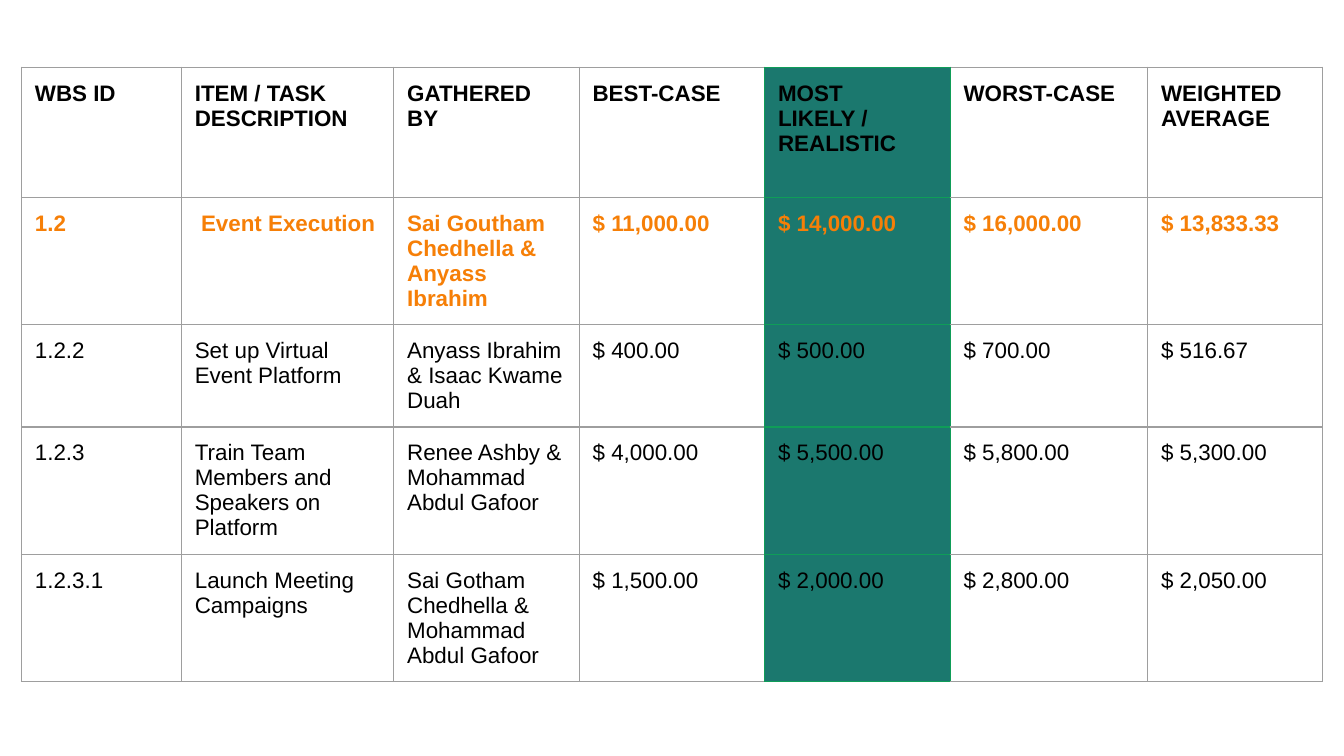
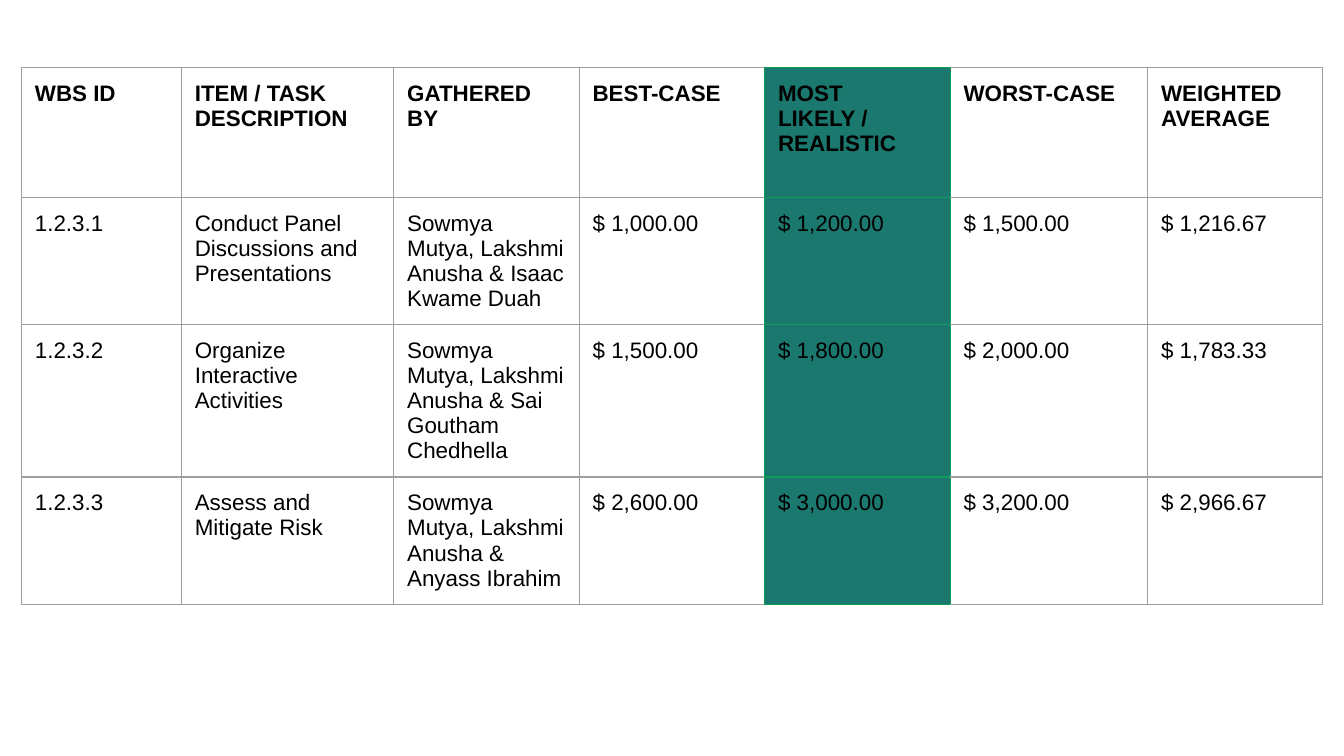
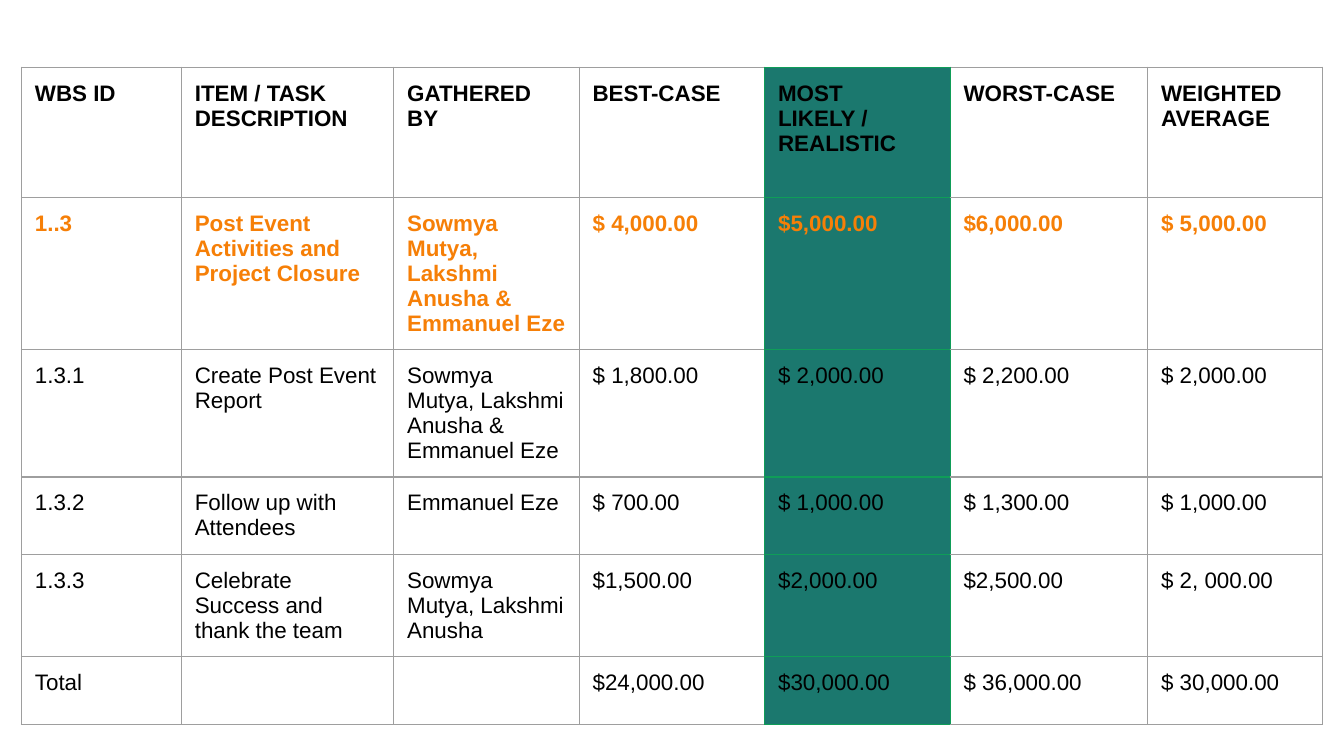
from lxml.etree import SubElement
from pptx import Presentation
from pptx.dml.color import RGBColor as RGB
from pptx.oxml.ns import qn
from pptx.util import Inches, Pt

BLACK = RGB(0x00, 0x00, 0x00)
ORANGE = RGB(0xF6, 0x7F, 0x07)
TEAL = RGB(0x1B, 0x78, 0x6E)
GREEN = RGB(0x0F, 0x9D, 0x58)
GREY = RGB(0x9E, 0x9E, 0x9E)

FONT = "Arial"
LEFT, TOP = 0.16, 0.5
COLS = [1.19, 1.58, 1.38, 1.38, 1.38, 1.47, 1.3]
HEAD_H, ROW_H = 0.97, 0.42
PAD = Inches(0.1)
LIKELY = 4

HEAD = ["WBS ID", "ITEM / TASK DESCRIPTION", "GATHERED BY", "BEST-CASE",
        "MOST LIKELY / REALISTIC", "WORST-CASE", "WEIGHTED AVERAGE"]
PHASES = ["1.2", "1..3"]

SLIDES = [
    [
        ["1.2", " Event Execution", "Sai Goutham Chedhella & Anyass Ibrahim",
         "$ 11,000.00", "$ 14,000.00", "$ 16,000.00", "$ 13,833.33"],
        ["1.2.2", "Set up Virtual Event Platform", "Anyass Ibrahim & Isaac Kwame Duah",
         "$ 400.00", "$ 500.00", "$ 700.00", "$ 516.67"],
        ["1.2.3", "Train Team Members and Speakers on Platform",
         "Renee Ashby & Mohammad Abdul Gafoor",
         "$ 4,000.00", "$ 5,500.00", "$ 5,800.00", "$ 5,300.00"],
        ["1.2.3.1", "Launch Meeting Campaigns",
         "Sai Gotham Chedhella & Mohammad Abdul Gafoor",
         "$ 1,500.00", "$ 2,000.00", "$ 2,800.00", "$ 2,050.00"],
    ],
    [
        ["1.2.3.1", "Conduct Panel Discussions and Presentations",
         "Sowmya Mutya, Lakshmi Anusha & Isaac Kwame Duah",
         "$ 1,000.00", "$ 1,200.00", "$ 1,500.00", "$ 1,216.67"],
        ["1.2.3.2", "Organize Interactive Activities",
         "Sowmya Mutya, Lakshmi Anusha & Sai Goutham Chedhella",
         "$ 1,500.00", "$ 1,800.00", "$ 2,000.00", "$ 1,783.33"],
        ["1.2.3.3", "Assess and Mitigate Risk",
         "Sowmya Mutya, Lakshmi Anusha & Anyass Ibrahim",
         "$ 2,600.00", "$ 3,000.00", "$ 3,200.00", "$ 2,966.67"],
    ],
    [
        ["1..3", "Post Event Activities and Project Closure",
         "Sowmya Mutya, Lakshmi Anusha & Emmanuel Eze",
         "$ 4,000.00", "$5,000.00", "$6,000.00", "$ 5,000.00"],
        ["1.3.1", "Create Post Event Report",
         "Sowmya Mutya, Lakshmi Anusha & Emmanuel Eze",
         "$ 1,800.00", "$ 2,000.00", "$ 2,200.00", "$ 2,000.00"],
        ["1.3.2", "Follow up with Attendees", "Emmanuel Eze",
         "$ 700.00", "$ 1,000.00", "$ 1,300.00", "$ 1,000.00"],
        ["1.3.3", "Celebrate Success and thank the team",
         "Sowmya Mutya, Lakshmi Anusha",
         "$1,500.00", "$2,000.00", "$2,500.00", "$ 2, 000.00"],
        ["Total", "", "", "$24,000.00", "$30,000.00", "$ 36,000.00", "$ 30,000.00"],
    ],
]


def add_borders(cell, col):
    green_sides = {LIKELY - 1: "R", LIKELY: "LRTB", LIKELY + 1: "L"}.get(col, "")
    tc_pr = cell._tc.get_or_add_tcPr()
    for side in "LRTB":
        ln = SubElement(tc_pr, qn("a:ln" + side), w=str(Pt(0.75)))
        fill = SubElement(ln, qn("a:solidFill"))
        color = GREEN if side in green_sides else GREY
        SubElement(fill, qn("a:srgbClr"), val=str(color))


prs = Presentation()
prs.slide_width, prs.slide_height = Inches(10), Inches(5.625)

for tasks in SLIDES:
    s = prs.slides.add_slide(prs.slide_layouts[6])
    rows = [HEAD] + tasks
    heights = [HEAD_H] + [ROW_H] * len(tasks)
    sp = s.shapes.add_table(len(rows), len(COLS), Inches(LEFT), Inches(TOP),
                            Inches(sum(COLS)), Inches(sum(heights)))
    table = sp.table
    table.first_row = table.horz_banding = False
    for col, width in zip(table.columns, COLS):
        col.width = Inches(width)
    for row, height in zip(table.rows, heights):
        row.height = Inches(height)

    for i, texts in enumerate(rows):
        is_phase = texts[0] in PHASES
        for j, text in enumerate(texts):
            cell = table.cell(i, j)
            cell.margin_left = cell.margin_right = PAD
            cell.margin_top = cell.margin_bottom = PAD
            add_borders(cell, j)
            if j == LIKELY:
                cell.fill.solid()
                cell.fill.fore_color.rgb = TEAL
            else:
                cell.fill.background()
            if text:
                p = cell.text_frame.paragraphs[0]
                p.text = text
                p.font.name = FONT
                p.font.size = Pt(12)
                p.font.bold = i == 0 or is_phase
                p.font.color.rgb = ORANGE if is_phase else BLACK

prs.save("out.pptx")
